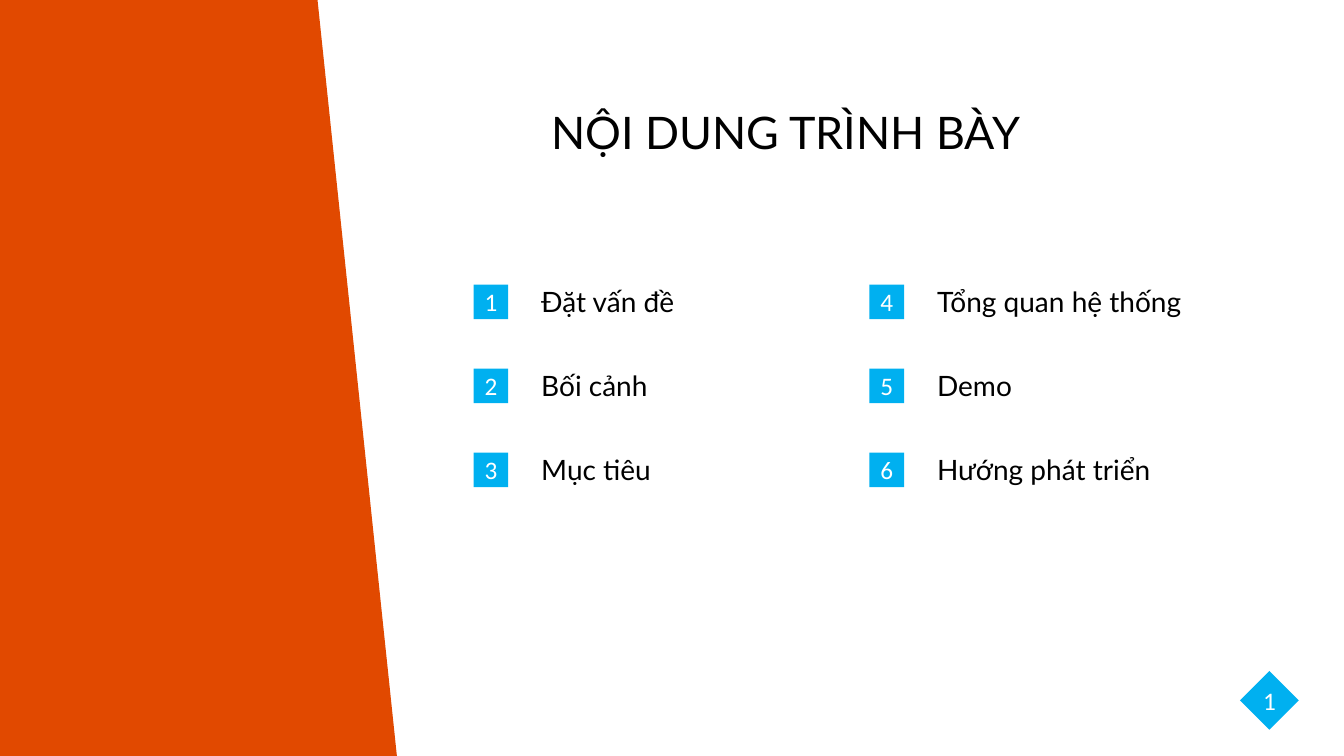
from pptx import Presentation
from pptx.dml.color import RGBColor
from pptx.enum.shapes import MSO_SHAPE
from pptx.enum.text import MSO_ANCHOR, MSO_AUTO_SIZE, PP_ALIGN
from pptx.util import Emu, Pt

PX = 9525
LEFT, CENTER = PP_ALIGN.LEFT, PP_ALIGN.CENTER
TOP, MIDDLE = MSO_ANCHOR.TOP, MSO_ANCHOR.MIDDLE
NO_FIT = MSO_AUTO_SIZE.NONE
RECTANGLE, DIAMOND = MSO_SHAPE.RECTANGLE, MSO_SHAPE.DIAMOND
SLANTED = MSO_SHAPE.FLOWCHART_MANUAL_INPUT
TITLE_ONLY = 5

ORANGE, BLUE, WHITE, BLACK = "E14900", "00B0F0", "FFFFFF", "000000"
TITLE_FONT = {"name": "Lato", "size": Pt(32), "bold": False}
LABEL_FONT = {"name": "Lato", "size": Pt(20)}
NUMBER_FONT = {"name": "Calibri", "size": Pt(18)}

AGENDA = [
    (["Đặt vấn đề", "Bối cảnh", "Mục tiêu"], 233),
    (["Tổng quan hệ thống", "Demo", "Hướng phát triển"], 260),
]
AGENDA_LEFT, AGENDA_TOP = 451, 271
COLUMN_STEP, ROW_STEP = 377, 80
BADGE_SIZE = 33
LABEL_SHIFT, LABEL_RISE, LABEL_HEIGHT = 55, 5, 42


def px(*lengths):
    """Convert whole pixels to EMU."""
    return [Emu(length * PX) for length in lengths]


def color(hex_string):
    """Turn a hex string into a colour."""
    return RGBColor.from_string(hex_string)


class AgendaSlide:
    """Hold the slide and draw its elements in one style."""

    def __init__(self, deck):
        """Add a title-only slide with a white background."""
        self.slide = deck.slides.add_slide(deck.slide_layouts[TITLE_ONLY])
        self.slide.background.fill.solid()
        self.slide.background.fill.fore_color.rgb = color(WHITE)

    def set_text(self, frame, words, font, ink, align, frame_format):
        """Put one formatted paragraph into a text frame."""
        for key, value in frame_format.items():
            setattr(frame, key, value)
        paragraph = frame.paragraphs[0]
        paragraph.alignment = align
        run = paragraph.add_run()
        run.text = words
        for key, value in font.items():
            setattr(run.font, key, value)
        run.font.color.rgb = color(ink)

    def title(self, words, left, top, width, height):
        """Place and fill the title placeholder."""
        heading = self.slide.shapes.title
        box = px(left, top, width, height)
        for key, value in zip(("left", "top", "width", "height"), box):
            setattr(heading, key, value)
        self.set_text(heading.text_frame, words, TITLE_FONT, BLACK, CENTER,
                      {"auto_size": NO_FIT, "word_wrap": True,
                       "vertical_anchor": TOP})

    def panel(self, kind, fill, left, top, width, height, rotation=0):
        """Add a filled shape without outline."""
        panel = self.slide.shapes.add_shape(kind, *px(left, top, width, height))
        panel.shadow.inherit = False
        panel.fill.solid()
        panel.fill.fore_color.rgb = color(fill)
        panel.line.fill.background()
        panel.rotation = rotation
        return panel

    def badge(self, kind, number, left, top, size):
        """Add a blue shape with a centred number."""
        badge = self.panel(kind, BLUE, left, top, size, size)
        self.set_text(badge.text_frame, str(number), NUMBER_FONT, WHITE, CENTER,
                      {"margin_left": 0, "margin_right": 0, "margin_top": 0,
                       "margin_bottom": 0, "vertical_anchor": MIDDLE,
                       "word_wrap": False})

    def label(self, words, left, top, width, height):
        """Add a wrapped line of agenda text."""
        label = self.slide.shapes.add_textbox(*px(left, top, width, height))
        self.set_text(label.text_frame, words, LABEL_FONT, BLACK, LEFT,
                      {"word_wrap": True})


def main():
    """Build the agenda slide and save it."""
    deck = Presentation()
    deck.slide_width, deck.slide_height = px(1280, 720)
    agenda = AgendaSlide(deck)
    agenda.panel(SLANTED, ORANGE, -171, 171, 720, 378, rotation=90)
    agenda.title("NỘI DUNG TRÌNH BÀY", 468, 95, 561, 61)
    for column, (topics, label_width) in enumerate(AGENDA):
        left = AGENDA_LEFT + column * COLUMN_STEP
        for row, topic in enumerate(topics):
            top = AGENDA_TOP + row * ROW_STEP
            number = column * len(topics) + row + 1
            agenda.badge(RECTANGLE, number, left, top, BADGE_SIZE)
            agenda.label(topic, left + LABEL_SHIFT, top - LABEL_RISE,
                         label_width, LABEL_HEIGHT)
    agenda.badge(DIAMOND, 1, 1181, 639, 56)
    deck.save("out.pptx")


if __name__ == "__main__":
    main()
